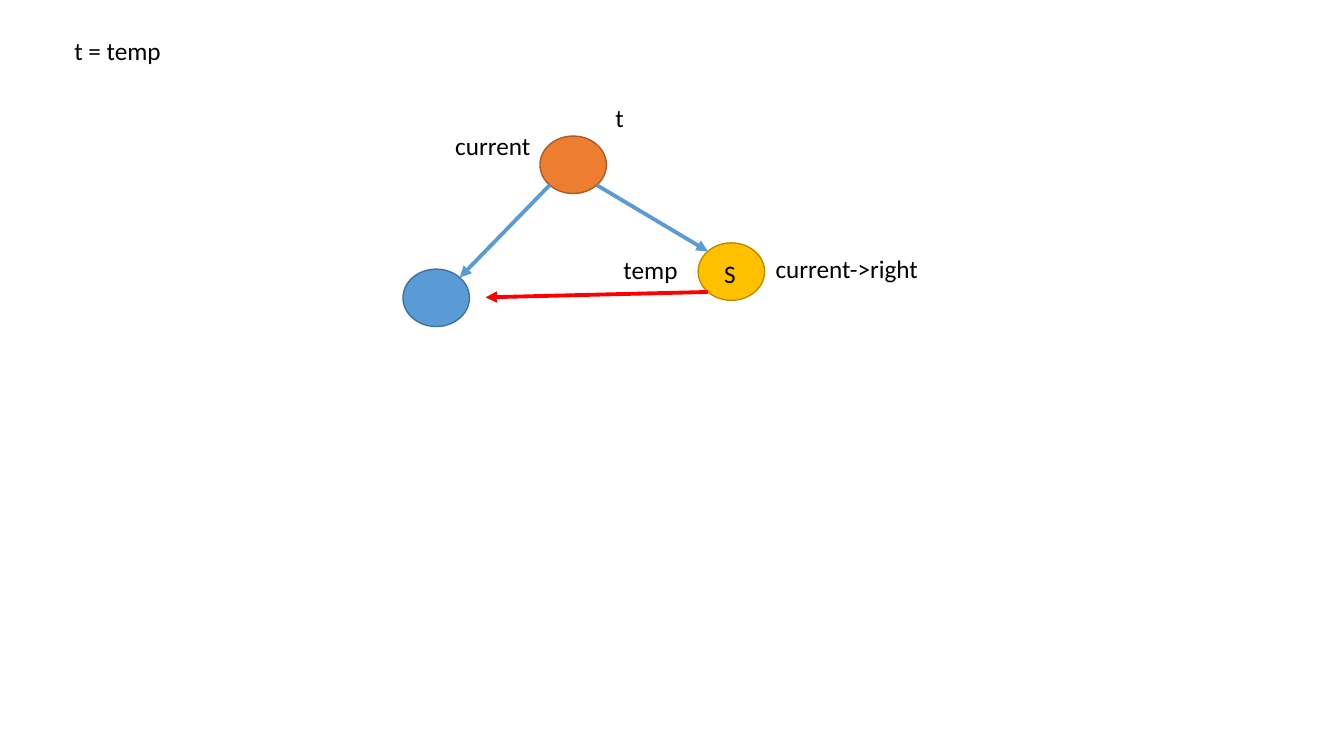
from lxml import etree
from pptx import Presentation
from pptx.dml.color import RGBColor
from pptx.enum.shapes import MSO_CONNECTOR, MSO_SHAPE
from pptx.enum.text import MSO_AUTO_SIZE
from pptx.oxml.ns import qn
from pptx.util import Inches, Pt

STRAIGHT = MSO_CONNECTOR.STRAIGHT
OVAL = MSO_SHAPE.OVAL
FIT_SHAPE = MSO_AUTO_SIZE.SHAPE_TO_FIT_TEXT

BLACK = RGBColor(0x00, 0x00, 0x00)
RED = RGBColor(0xFF, 0x00, 0x00)
BLUE = RGBColor(0x5B, 0x9B, 0xD5)
BLUE_EDGE = RGBColor(0x41, 0x71, 0x9C)
ORANGE = RGBColor(0xED, 0x7D, 0x31)
ORANGE_EDGE = RGBColor(0xAE, 0x5A, 0x21)
GOLD = RGBColor(0xFF, 0xC0, 0x00)
GOLD_EDGE = RGBColor(0xBC, 0x8C, 0x00)

NODE_WIDTH, NODE_HEIGHT = 0.66, 0.57
LABEL_WIDTH, LABEL_HEIGHT = 2.29, 0.4
DIAGONAL = 0.5 ** 0.5


def add_label(slide, text, left, top, width=LABEL_WIDTH, wrap=True):
    label = slide.shapes.add_textbox(
        Inches(left), Inches(top), Inches(width), Inches(LABEL_HEIGHT))
    frame = label.text_frame
    frame.word_wrap = wrap
    frame.auto_size = FIT_SHAPE
    run = frame.paragraphs[0].add_run()
    run.text = text
    run.font.name = "Calibri"
    run.font.size = Pt(18)
    run.font.color.rgb = BLACK


def add_node(slide, left, top, fill, edge):
    node = slide.shapes.add_shape(
        OVAL, Inches(left), Inches(top), Inches(NODE_WIDTH), Inches(NODE_HEIGHT))
    node.shadow.inherit = False
    node.fill.solid()
    node.fill.fore_color.rgb = fill
    node.line.color.rgb = edge
    node.line.width = Pt(1)


def node_corner(left, top, right_side, lower_side):
    return (left + NODE_WIDTH / 2 * (1 + right_side * DIAGONAL),
            top + NODE_HEIGHT / 2 * (1 + lower_side * DIAGONAL))


def add_arrow(slide, start, end, color):
    arrow = slide.shapes.add_connector(
        STRAIGHT, *(Inches(value) for value in (*start, *end)))
    arrow.line.color.rgb = color
    arrow.line.width = Pt(2.75)
    properties = arrow.element.spPr
    etree.SubElement(properties.find(qn("a:ln")), qn("a:tailEnd"), type="triangle")
    etree.SubElement(properties, qn("a:effectLst"))


def add_tree(slide, left, top):
    left_child = (left, top + 1.7)
    root = (left + 1.36, top + 0.38)
    right_child = (left + 2.93, top + 1.44)

    add_node(slide, *left_child, BLUE, BLUE_EDGE)
    add_node(slide, *root, ORANGE, ORANGE_EDGE)
    add_node(slide, *right_child, GOLD, GOLD_EDGE)

    add_arrow(slide, node_corner(*root, -1, 1), node_corner(*left_child, 1, -1), BLUE)
    add_arrow(slide, node_corner(*root, 1, 1), node_corner(*right_child, -1, -1), BLUE)

    for text, x, y in (("current", 0.42, 0.27), ("current->right", 3.6, 1.49),
                       ("t", 2.01, 0), ("temp", 2.09, 1.5)):
        add_label(slide, text, left + x, top + y)
    add_label(slide, "S", left + 3.09, top + 1.54, 0.84)

    add_arrow(slide, node_corner(*right_child, -1, 1), (left + 0.82, top + 1.98), RED)


def main():
    presentation = Presentation()
    presentation.slide_width = Inches(13.34)
    presentation.slide_height = Inches(7.5)
    slide = presentation.slides.add_slide(presentation.slide_layouts[6])
    add_label(slide, "t = temp", 0.64, 0.3, 1.06, wrap=False)
    add_tree(slide, 4, 0.97)
    presentation.save("out.pptx")


if __name__ == "__main__":
    main()
